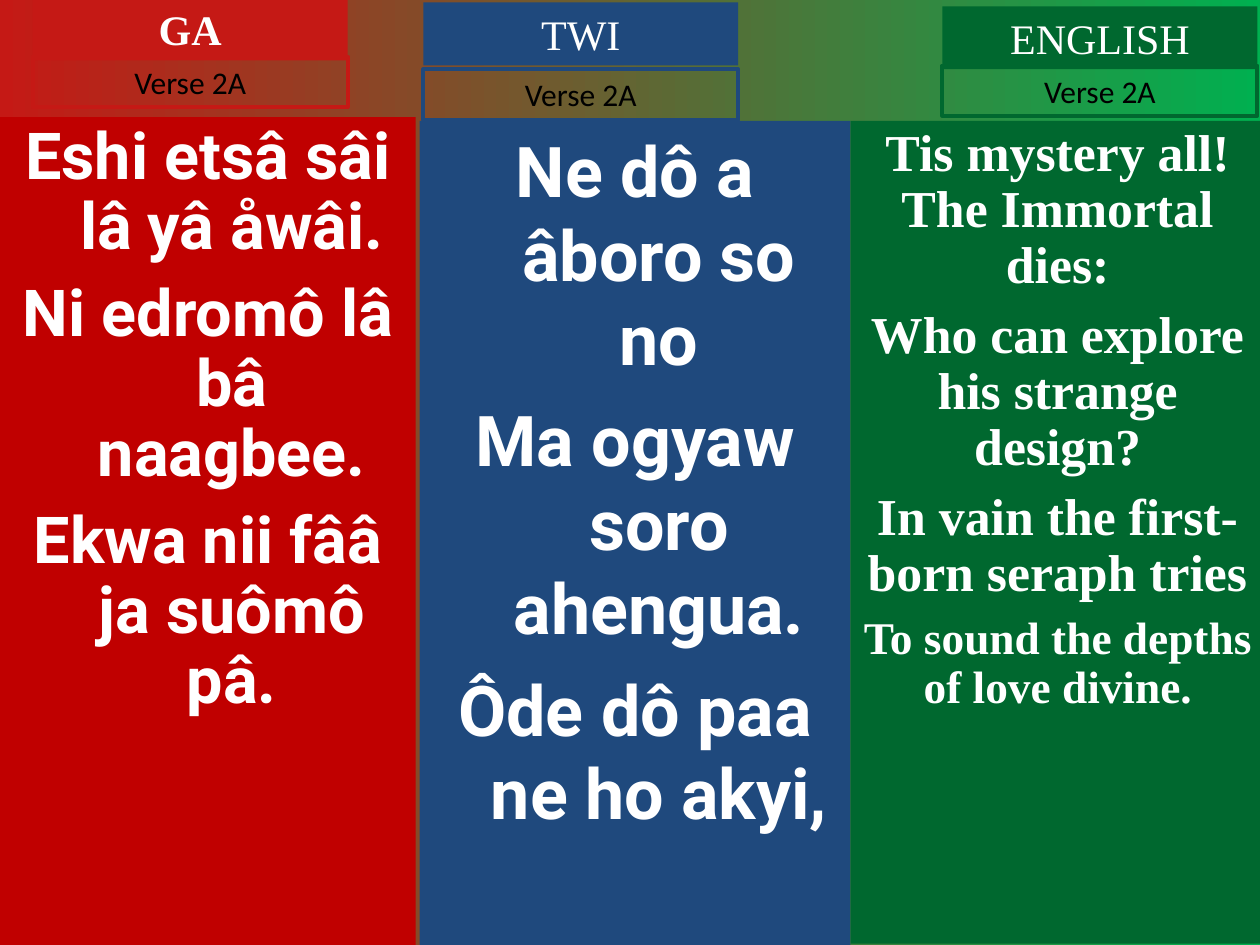
"""Build a three-language hymn slide: one coloured verse column per language."""
from dataclasses import dataclass

from pptx import Presentation, util as u
from pptx.dml.color import RGBColor
from pptx.enum import shapes, text

COLORS = {
    "ga": "C00000", "ga_label": "C51915", "twi": "1F497D", "english": "00682F",
    "bright_green": "00B050", "white": "FFFFFF", "black": "000000",
}
COLS, ROWS = 100, 75
LABEL_COLS, TITLE_ROWS, VERSE_ROWS = 25, 5, 4
SERIF = "Times New Roman"


@dataclass(frozen=True)
class Box:
    col: float
    row: float
    cols: float
    rows: float


@dataclass(frozen=True)
class Style:
    font: str
    size: float
    color: str = "white"
    bold: bool = False
    spacing: float = 1.0
    before: float = 0
    hanging: float = 0


@dataclass(frozen=True)
class Line:
    words: str
    size: float | None = None
    before: float | None = None


@dataclass(frozen=True)
class Language:
    title: str
    label_color: str
    label_col: float
    title_row: float
    verse_row: float
    body_color: str
    body: Box
    style: Style
    lines: tuple[Line, ...]
    bold_title: bool = False


LANGUAGES = (
    Language(
        "GA", "ga_label", 2.6, -0.2, 4.5, "ga", Box(0, 9.3, 33, 65.7),
        Style("Roboto", 37, bold=True, spacing=0.9, before=10, hanging=3.8),
        (Line("Eshi etsâ sâi lâ yâ åwâi."),
         Line("Ni edromô lâ bâ naagbee."),
         Line("Ekwa nii fââ ja suômô pâ.")),
        bold_title=True,
    ),
    Language(
        "TWI", "twi", 33.6, 0.2, 5.5, "twi", Box(33.3, 9.6, 34.2, 65.4),
        Style("Roboto", 40, bold=True, before=10, hanging=3.8),
        (Line("Ne dô a âboro so no"),
         Line("Ma ogyaw soro ahengua."),
         Line("Ôde dô paa ne ho akyi,")),
    ),
    Language(
        "ENGLISH", "english", 74.8, 0.5, 5.2, "english", Box(67.5, 9.6, 32.9, 65.3),
        Style(SERIF, 29.6, bold=True, spacing=0.9, before=8),
        (Line("Tis mystery all! The Immortal dies:"),
         Line("Who can explore his strange design?"),
         Line("In vain the first-born seraph tries"),
         Line("To sound the depths of love divine.", 25.9, 7)),
    ),
)

prs = Presentation()
prs.slide_width, prs.slide_height = u.Inches(10), u.Inches(7.5)


def rgb(name: str) -> RGBColor:
    return RGBColor.from_string(COLORS[name])


def x(cols: float) -> int:
    return round(prs.slide_width * cols / COLS)


def y(rows: float) -> int:
    return round(prs.slide_height * rows / ROWS)


def add_box(s, box: Box, style: Style, lines: tuple[Line, ...],
            fill: str | None = None, outline: str | None = None,
            grow: bool = False) -> None:
    sp = s.shapes.add_shape(shapes.MSO_SHAPE.RECTANGLE,
                            x(box.col), y(box.row), x(box.cols), y(box.rows))
    sp.shadow.inherit = False
    if fill:
        sp.fill.solid()
        sp.fill.fore_color.rgb = rgb(fill)
    else:
        sp.fill.background()
    if outline:
        sp.line.color.rgb = rgb(outline)
        sp.line.width = u.Pt(2.25)
    else:
        sp.line.fill.background()
    tf = sp.text_frame
    tf.word_wrap = True
    tf.vertical_anchor = text.MSO_ANCHOR.TOP
    if grow:
        tf.auto_size = text.MSO_AUTO_SIZE.SHAPE_TO_FIT_TEXT
    for i, line in enumerate(lines):
        p = tf.add_paragraph() if i else tf.paragraphs[0]
        p.text = line.words
        p.alignment = text.PP_ALIGN.CENTER
        p.line_spacing = style.spacing
        if i:
            p.space_before = u.Pt(line.before or style.before)
        if style.hanging:
            ppr = p._p.get_or_add_pPr()
            ppr.set("marL", str(x(style.hanging)))
            ppr.set("indent", str(-x(style.hanging)))
        p.font.name = style.font
        p.font.size = u.Pt(line.size or style.size)
        p.font.bold = style.bold
        p.font.color.rgb = rgb(style.color)


def add_body(s, lang: Language) -> None:
    add_box(s, lang.body, lang.style, lang.lines, fill=lang.body_color)


def add_labels(s, lang: Language) -> None:
    add_box(s, Box(lang.label_col, lang.title_row, LABEL_COLS, TITLE_ROWS),
            Style(SERIF, 24, bold=lang.bold_title), (Line(lang.title),),
            fill=lang.label_color, grow=True)
    add_box(s, Box(lang.label_col, lang.verse_row, LABEL_COLS, VERSE_ROWS),
            Style("Calibri", 18, "black"), (Line("Verse 2A"),),
            outline=lang.label_color, grow=True)


def main() -> None:
    s = prs.slides.add_slide(prs.slide_layouts[6])
    fill = s.background.fill
    fill.gradient()
    fill.gradient_angle = 0
    for stop, name, position in zip(fill.gradient_stops, ("ga_label", "bright_green"), (0, 1)):
        stop.color.rgb = rgb(name)
        stop.position = position
    for draw in (add_body, add_labels):
        for lang in LANGUAGES:
            draw(s, lang)
    prs.save("out.pptx")


if __name__ == "__main__":
    main()
